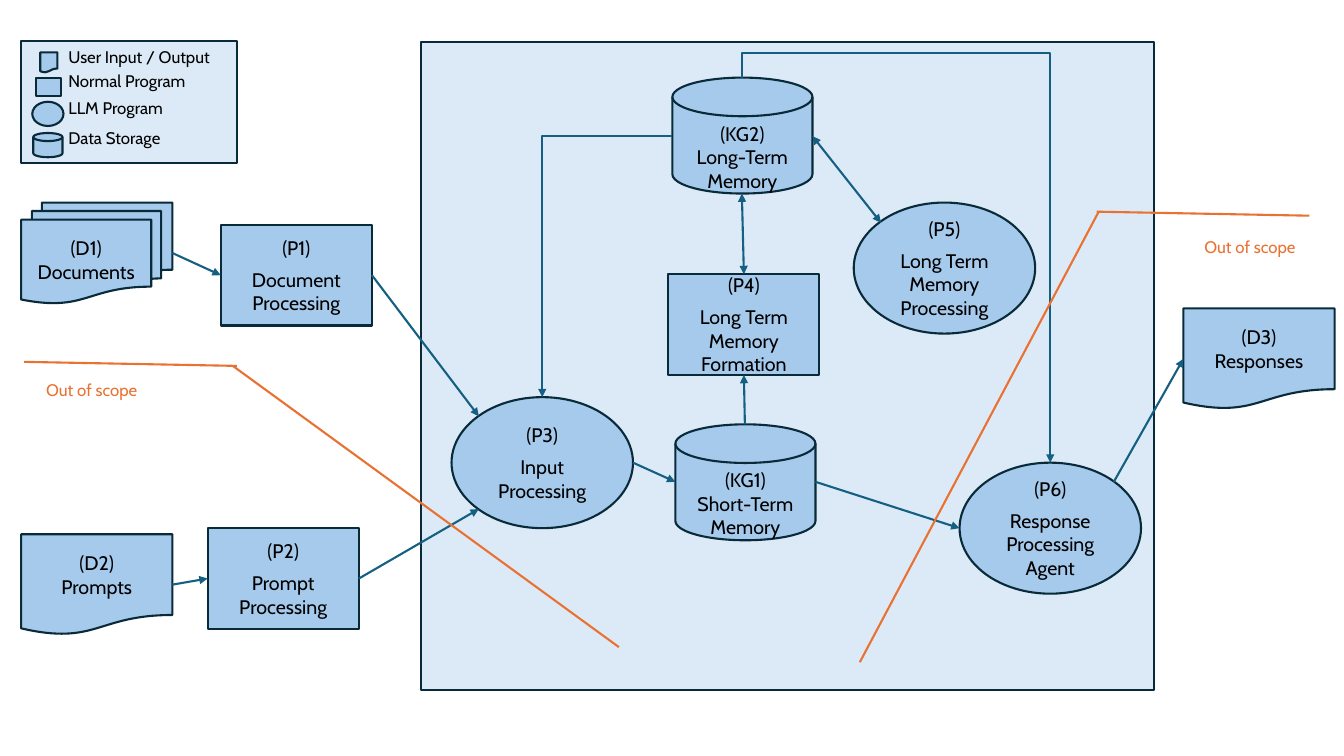
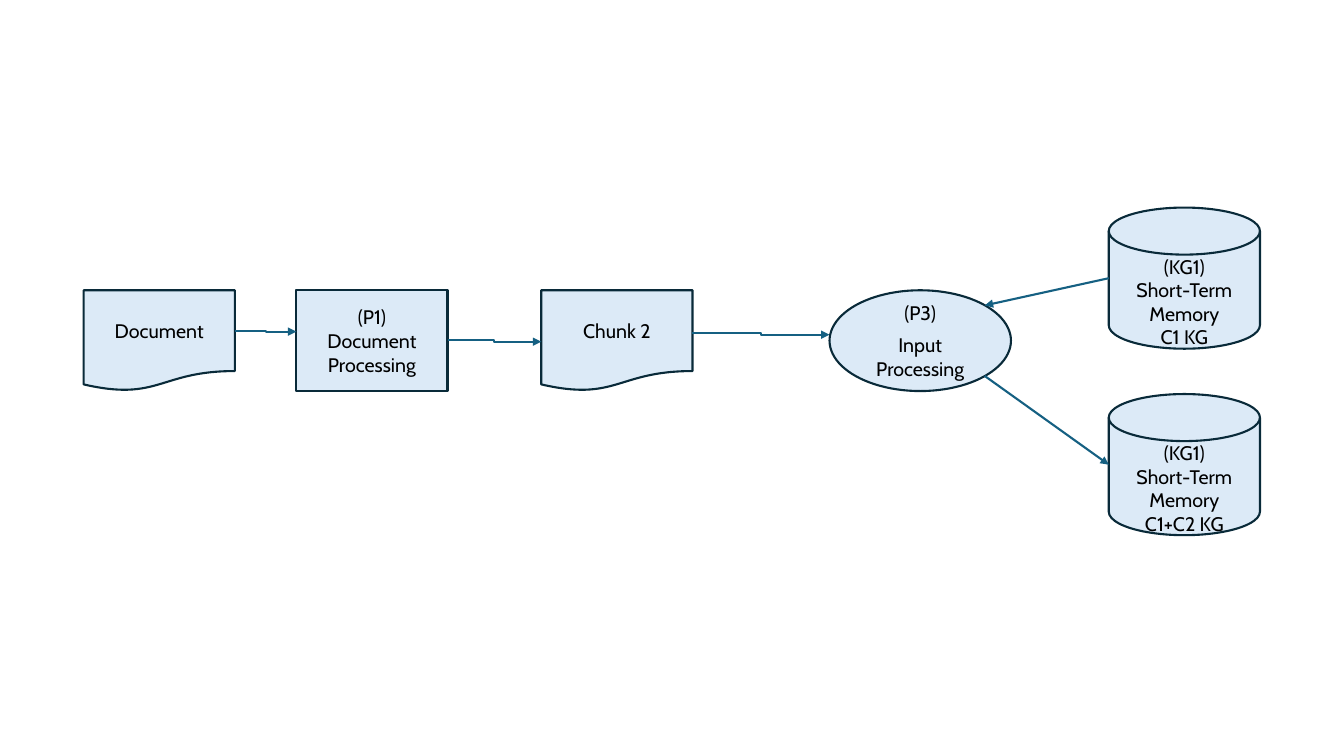
from pptx import Presentation
from pptx.dml.color import RGBColor
from pptx.enum.shapes import MSO_CONNECTOR, MSO_SHAPE
from pptx.enum.text import MSO_ANCHOR, PP_ALIGN
from pptx.oxml.ns import qn
from pptx.util import Emu, Pt
from lxml import etree

PX = 9144  # EMU per px, 100 px to the inch

PALE_BLUE = RGBColor(0xDC, 0xEA, 0xF7)
MID_BLUE = RGBColor(0xA6, 0xCA, 0xEC)
OUTLINE = RGBColor(0x09, 0x2A, 0x39)
FLOW = RGBColor(0x15, 0x60, 0x82)
SCOPE = RGBColor(0xE9, 0x71, 0x32)
BLACK = RGBColor(0, 0, 0)

PROGRAM = MSO_SHAPE.RECTANGLE
LLM = MSO_SHAPE.OVAL
DOCUMENT = MSO_SHAPE.FLOWCHART_DOCUMENT
DOCUMENTS = MSO_SHAPE.FLOWCHART_MULTIDOCUMENT
STORAGE = MSO_SHAPE.FLOWCHART_MAGNETIC_DISK
STRAIGHT = MSO_CONNECTOR.STRAIGHT
ELBOW = MSO_CONNECTOR.ELBOW
MIDDLE = MSO_ANCHOR.MIDDLE
CENTER = PP_ALIGN.CENTER
TOP, LEFT, BOTTOM, RIGHT = range(4)


def px(*lengths):
    return [Emu(round(length * PX)) for length in lengths]


class Diagram:
    font = "Cabin"
    line_width = Pt(1.5)

    def __init__(self):
        self.deck = Presentation()
        self.deck.slide_width, self.deck.slide_height = Emu(12192000), Emu(6858000)
        self.shapes = None
        self.fill = None

    def new_slide(self, fill):
        blank = self.deck.slide_layouts[6]
        self.shapes = self.deck.slides.add_slide(blank).shapes
        self.fill = fill

    def style(self, paragraph, size, color):
        paragraph.font.name = self.font
        paragraph.font.size = Pt(size)
        paragraph.font.color.rgb = color

    def node(self, kind, at, lines=(), gap=0, fill=None):
        """Add a flowchart symbol; gap is the space in points below its first line."""
        node = self.shapes.add_shape(kind, *px(*at))
        node.shadow.inherit = False
        node.fill.solid()
        node.fill.fore_color.rgb = fill or self.fill
        node.line.color.rgb = OUTLINE
        node.line.width = self.line_width
        if lines:
            frame = node.text_frame
            frame.word_wrap = True
            frame.vertical_anchor = MIDDLE
            if kind == STORAGE:
                frame.margin_top, = px(28)
            frame.text = "\n".join(lines)
            for paragraph in frame.paragraphs:
                paragraph.alignment = CENTER
                self.style(paragraph, 14, BLACK)
            if gap:
                frame.paragraphs[0].space_after = Pt(gap)
        return node

    def label(self, at, text, color=BLACK):
        frame = self.shapes.add_textbox(*px(*at)).text_frame
        frame.word_wrap = True
        frame.text = text
        self.style(frame.paragraphs[0], 12, color)

    def finish(self, connector, color, ends):
        connector.line.color.rgb = color
        connector.line.width = self.line_width
        properties = connector._element.spPr
        for end in ends:
            head = etree.SubElement(properties.find(qn("a:ln")), qn("a:" + end))
            head.set("type", "triangle")
        etree.SubElement(properties, qn("a:effectLst"))

    def line(self, start, end):
        connector = self.shapes.add_connector(STRAIGHT, *px(*start, *end))
        self.finish(connector, SCOPE, ())

    def arrow(self, start, end, both=False):
        """Draw an arrow; each end is an (x, y) point or a (node, side) pair."""
        joined = [not isinstance(place[0], int) for place in (start, end)]
        points = [(0, 0) if join else place
                  for join, place in zip(joined, (start, end))]
        connector = self.shapes.add_connector(STRAIGHT, *px(*points[0], *points[1]))
        if joined[0]:
            connector.begin_connect(*start)
        if joined[1]:
            connector.end_connect(*end)
        self.finish(connector, FLOW, ("headEnd", "tailEnd") if both else ("tailEnd",))

    def elbow(self, start, end):
        """Draw an arrow that goes across, down halfway, and across."""
        connector = self.shapes.add_connector(ELBOW, *px(*start, *end))
        self.finish(connector, FLOW, ("tailEnd",))
        return connector

    def corner(self, start, end):
        """Draw an arrow that goes across, then down."""
        geometry = self.elbow(start, end)._element.spPr.find(qn("a:prstGeom"))
        geometry.set("prst", "bentConnector2")

    def over(self, start, end, rise):
        """Draw an arrow that goes up by rise, across, and down to its end."""
        (x1, y1), (x2, y2) = start, end
        x, y = (x1 + x2) / 2, (y1 + y2) / 2
        half_run, half_drop = (x2 - x1) / 2, (y2 - y1) / 2
        connector = self.elbow((x + half_drop, y - half_run),
                               (x - half_drop, y + half_run))
        properties = connector._element.spPr
        properties.find(qn("a:xfrm")).set("rot", str(270 * 60000))
        guides = properties.find(qn("a:prstGeom")).find(qn("a:avLst"))
        bend = round(-100000 * rise / (y2 - y1))
        etree.SubElement(guides, qn("a:gd"), name="adj1", fmla=f"val {bend}")


def build_overview(d):
    d.new_slide(MID_BLUE)
    d.node(PROGRAM, (418, 42, 727, 643), fill=PALE_BLUE)

    d.node(PROGRAM, (21, 41, 214, 121), fill=PALE_BLUE)
    for kind, symbol, label_top, meaning in (
        (DOCUMENT, (40, 52, 17, 20), 41, "User Input / Output"),
        (PROGRAM, (36, 77, 25, 18), 65, "Normal Program"),
        (LLM, (32, 101, 31, 24), 92, "LLM Program"),
        (STORAGE, (33, 132, 29, 24), 122, "Data Storage"),
    ):
        d.node(kind, symbol)
        d.label((58, label_top, 175, 30), meaning)

    documents = d.node(DOCUMENTS, (21, 201, 150, 100), ("(D1)", "Documents"))
    prompts = d.node(DOCUMENT, (21, 530, 150, 100), ("(D2)", "Prompts"))
    responses = d.node(DOCUMENT, (1174, 306, 150, 100), ("(D3)", "Responses"))
    document_step = d.node(PROGRAM, (219, 223, 150, 100),
                           ("(P1)", "Document Processing"), 6)
    prompt_step = d.node(PROGRAM, (206, 524, 150, 100),
                         ("(P2)", "Prompt Processing"), 6)
    formation = d.node(PROGRAM, (663, 272, 150, 100),
                       ("(P4)", "Long Term Memory Formation"), 6)
    d.node(LLM, (448, 394, 180, 130), ("(P3)", "Input Processing"), 6)
    d.node(LLM, (847, 201, 180, 130), ("(P5)", "Long Term Memory Processing"), 6)
    d.node(LLM, (952, 459, 180, 130), ("(P6)", "Response Processing", "Agent"), 6)
    d.node(STORAGE, (670, 421, 139, 115), ("(KG1)", "Short-Term Memory"))
    d.node(STORAGE, (667, 77, 139, 115), ("(KG2)", "Long-Term Memory"))

    d.arrow((documents, RIGHT), (document_step, LEFT))
    d.arrow((prompts, RIGHT), (prompt_step, LEFT))
    d.arrow((document_step, RIGHT), (475, 413))
    d.arrow((prompt_step, RIGHT), (475, 505))
    d.arrow((628, 459), (670, 478))
    d.arrow((739, 421), (formation, BOTTOM))
    d.arrow((formation, TOP), (736, 192), both=True)
    d.arrow((874, 221), (806, 135), both=True)
    d.arrow((809, 478), (952, 524))
    d.arrow((1105, 478), (responses, LEFT))
    d.corner((667, 135), (538, 394))
    d.over((736, 77), (1042, 459), 25)

    for start, end in (
        ((24, 359), (235, 363)),
        ((231, 363), (614, 642)),
        ((1088, 210), (1299, 214)),
        ((1090, 210), (853, 657)),
    ):
        d.line(start, end)
    for x, y in ((36, 372), (1185, 230)):
        d.label((x, y, 130, 30), "Out of scope", SCOPE)


def build_chunk_step(d):
    d.new_slide(PALE_BLUE)
    d.node(DOCUMENT, (83, 288, 150, 100), ("Document",))
    d.node(PROGRAM, (294, 288, 150, 100), ("(P1)", "Document Processing"))
    d.node(DOCUMENT, (537, 288, 150, 100), ("Chunk 2",))
    d.node(LLM, (823, 288, 180, 100), ("(P3)", "Input Processing"), 6)
    for y, content in ((206, "C1 KG"), (391, "C1+C2 KG")):
        d.node(STORAGE, (1100, y, 150, 140), ("(KG1)", "Short-Term Memory", content))

    d.elbow((233, 328), (294, 329))
    d.elbow((444, 337), (537, 339))
    d.elbow((687, 330), (823, 332))
    d.arrow((1100, 276), (977, 303))
    d.arrow((977, 373), (1100, 461))


def main():
    diagram = Diagram()
    build_overview(diagram)
    build_chunk_step(diagram)
    diagram.deck.save("out.pptx")


if __name__ == "__main__":
    main()
